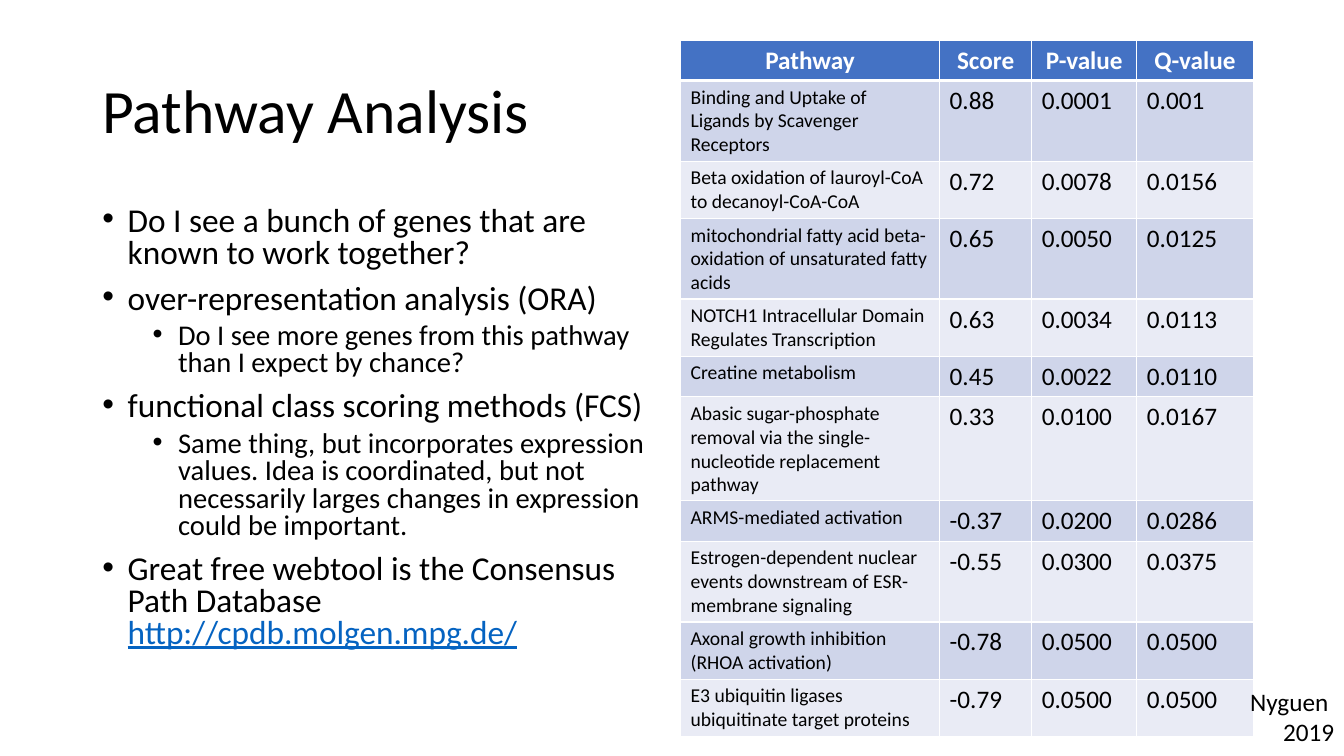
import pptx
import pptx.util
import pptx.dml.color
import pptx.enum.text
import pptx.oxml
import pptx.oxml.ns
from pptx.util import Cm

COLORS = {"text": "000000", "white": "FFFFFF", "link": "0563C1",
          "header": "4472C4", "band_dark": "CFD5EA", "band_light": "E9EBF5"}
ALIGN = pptx.enum.text.PP_ALIGN
ANCHOR = pptx.enum.text.MSO_ANCHOR


class PathwaySlide:
    """Holds the slide and its style."""
    font = "Calibri"

    def __init__(self, prs):
        self.s = prs.slides.add_slide(prs.slide_layouts[6])

    def run(self, p, text, size, color="text", bold=False, underline=False):
        r = p.add_run()
        r.text = text
        r.font.name = self.font
        r.font.size = pptx.util.Pt(size)
        r.font.bold = bold
        r.font.underline = underline
        r.font.color.rgb = pptx.dml.color.RGBColor.from_string(COLORS[color])

    def frame(self, x, y, w, h, anchor=ANCHOR.TOP):
        tf = self.s.shapes.add_textbox(Cm(x), Cm(y), Cm(w), Cm(h)).text_frame
        tf.word_wrap = True
        tf.vertical_anchor = anchor
        return tf

    def paragraph(self, tf, first):
        return tf.paragraphs[0] if first else tf.add_paragraph()

    def title(self, text, x, y, w, h):
        p = self.frame(x, y, w, h, ANCHOR.MIDDLE).paragraphs[0]
        p.line_spacing = 0.9
        self.run(p, text, 44)

    def bullets(self, items, x, y, w, h):
        tf = self.frame(x, y, w, h)
        for i, (level, text, link) in enumerate(items):
            p = self.paragraph(tf, i == 0)
            p.level = level
            p.line_spacing = 0.8
            p.space_before = pptx.util.Pt(0 if i == 0 else 5 if level else 10)
            pPr = p._p.get_or_add_pPr()
            pPr.set("marL", str(Cm(1.91 if level else 0.64)))
            pPr.set("indent", str(-Cm(0.64)))
            for tag, name, value in (("buFont", "typeface", "Arial"), ("buChar", "char", "•")):
                pptx.oxml.xmlchemy.OxmlElement("a:" + tag)
                el = pptx.oxml.xmlchemy.OxmlElement("a:" + tag)
                el.set(name, value)
                pPr.append(el)
            size = 20.4 if level else 23.8
            self.run(p, text, size)
            if link:
                self.run(p, link, size, "link", underline=True)

    def borders(self, cell, bottom):
        tcPr = cell._tc.get_or_add_tcPr()
        widths = {"L": 1, "R": 1, "T": 1, "B": bottom}
        for i, (side, width) in enumerate(widths.items()):
            tcPr.insert(i, pptx.oxml.parse_xml(
                f'<a:ln{side} {pptx.oxml.ns.nsdecls("a")} w="{pptx.util.Pt(width)}">'
                f'<a:solidFill><a:srgbClr val="{COLORS["white"]}"/></a:solidFill></a:ln{side}>'))

    def cell(self, cell, text, size, fill, header):
        cell.fill.solid()
        cell.fill.fore_color.rgb = pptx.dml.color.RGBColor.from_string(COLORS[fill])
        self.borders(cell, 3 if header else 1)
        p = cell.text_frame.paragraphs[0]
        if header:
            p.alignment = ALIGN.CENTER
        self.run(p, text, size, "white" if header else "text", bold=header)

    def table(self, rows, widths, x, y):
        heights = [row[0] for row in rows]
        t = self.s.shapes.add_table(len(rows), len(widths), Cm(x), Cm(y),
                                    Cm(sum(widths)), Cm(sum(heights))).table
        for col, width in zip(t.columns, widths):
            col.width = Cm(width)
        for i, (height, *texts) in enumerate(rows):
            t.rows[i].height = Cm(height)
            header = i == 0
            fill = "header" if header else "band_dark" if i % 2 else "band_light"
            for j, text in enumerate(texts):
                size = 14 if j == 0 and not header else 18
                self.cell(t.cell(i, j), text, size, fill, header)

    def credit(self, lines, x, y, w, h):
        tf = self.frame(x, y, w, h)
        for i, line in enumerate(lines):
            p = self.paragraph(tf, i == 0)
            p.alignment = ALIGN.RIGHT
            self.run(p, line, 18)


# Level, text, trailing link
BULLETS = [
    (0, "Do I see a bunch of genes that are known to work together?", ""),
    (0, "over-representation analysis (ORA)", ""),
    (1, "Do I see more genes from this pathway than I expect by chance?", ""),
    (0, "functional class scoring methods (FCS)", ""),
    (1, "Same thing, but incorporates expression values. Idea is coordinated, but not "
        "necessarily larges changes in expression could be important.", ""),
    (0, "Great free webtool is the Consensus Path Database ", "http://cpdb.molgen.mpg.de/"),
]

# Row height in cm, then the cells
PATHWAYS = [
    (0.97, "Pathway", "Score", "P-value", "Q-value"),
    (1.93, "Binding and Uptake of Ligands by Scavenger Receptors", "0.88", "0.0001", "0.001"),
    (1.37, "Beta oxidation of lauroyl-CoA to decanoyl-CoA-CoA", "0.72", "0.0078", "0.0156"),
    (1.93, "mitochondrial fatty acid beta-oxidation of unsaturated fatty acids",
     "0.65", "0.0050", "0.0125"),
    (1.37, "NOTCH1 Intracellular Domain Regulates Transcription", "0.63", "0.0034", "0.0113"),
    (0.97, "Creatine metabolism", "0.45", "0.0022", "0.0110"),
    (2.49, "Abasic sugar-phosphate removal via the single-nucleotide replacement pathway",
     "0.33", "0.0100", "0.0167"),
    (0.97, "ARMS-mediated activation", "-0.37", "0.0200", "0.0286"),
    (1.93, "Estrogen-dependent nuclear events downstream of ESR-membrane signaling",
     "-0.55", "0.0300", "0.0375"),
    (1.37, "Axonal growth inhibition (RHOA activation)", "-0.78", "0.0500", "0.0500"),
    (1.37, "E3 ubiquitin ligases ubiquitinate target proteins", "-0.79", "0.0500", "0.0500"),
]


def main():
    prs = pptx.Presentation()
    prs.slide_width, prs.slide_height = Cm(33.87), Cm(19.05)
    slide = PathwaySlide(prs)

    # Title and bullets on the left
    slide.title("Pathway Analysis", 2.33, 1.01, 29.21, 3.68)
    slide.bullets(BULLETS, 2.33, 5.08, 14.4, 12.09)

    # Pathway scores on the right
    slide.table(PATHWAYS, [6.53, 2.32, 2.65, 2.93], 17.15, 1.01)

    # Source credit in the corner
    slide.credit(["Nyguen ", "2019"], 28.07, 17.17, 5.8, 1.8)

    prs.save("out.pptx")


if __name__ == "__main__":
    main()
